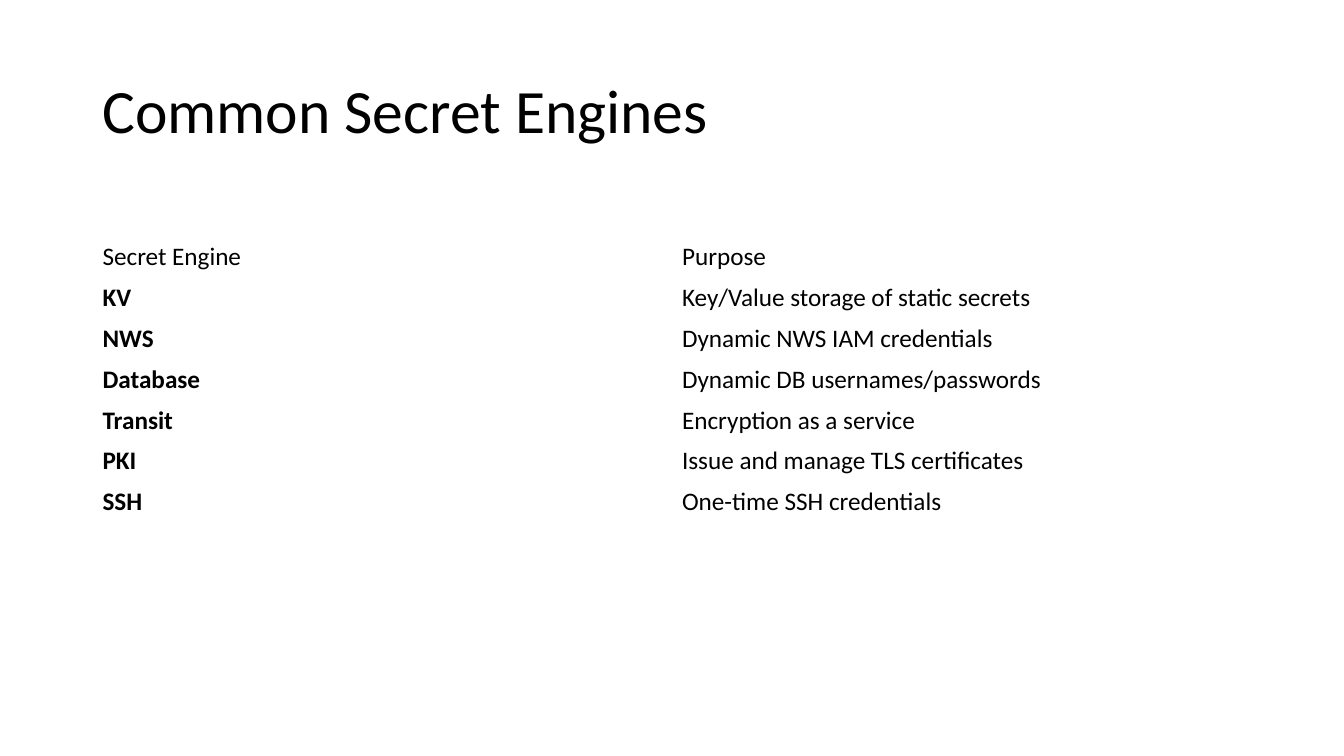
"""Build a slide that lists common secret engines and their purpose."""
from pptx import Presentation
from pptx.dml.color import RGBColor
from pptx.enum.text import MSO_ANCHOR
from pptx.util import Cm, Pt


def color(code):
    return RGBColor.from_string(code)


def write(frame, text, size=18, bold=False, spacing=1.0):
    line = frame.paragraphs[0]
    line.line_spacing = spacing
    run = line.add_run()
    run.text = text
    run.font.name = "Calibri"
    run.font.size = Pt(size)
    run.font.bold = bold
    run.font.color.rgb = color("000000")


deck = Presentation()
deck.slide_width, deck.slide_height = Cm(33.87), Cm(19.05)
slide = deck.slides.add_slide(deck.slide_layouts[6])
slide.background.fill.solid()
slide.background.fill.fore_color.rgb = color("FFFFFF")

left, width = Cm(2.33), Cm(29.21)
title = slide.shapes.add_textbox(left, Cm(1.01), width, Cm(3.68)).text_frame
title.word_wrap = True
title.vertical_anchor = MSO_ANCHOR.MIDDLE
write(title, "Common Secret Engines", size=44, spacing=0.9)

engines = [
    ("Secret Engine", "Purpose"),
    ("KV", "Key/Value storage of static secrets"),
    ("NWS", "Dynamic NWS IAM credentials"),
    ("Database", "Dynamic DB usernames/passwords"),
    ("Transit", "Encryption as a service"),
    ("PKI", "Issue and manage TLS certificates"),
    ("SSH", "One-time SSH credentials"),
]
height = Cm(1.03)
table = slide.shapes.add_table(
    len(engines), 2, left, Cm(5.96), width, height * len(engines)
).table
table.first_row = False
table.horz_banding = False

for row, texts in enumerate(engines):
    table.rows[row].height = height
    for col, text in enumerate(texts):
        cell = table.cell(row, col)
        cell.fill.background()
        cell.vertical_anchor = MSO_ANCHOR.MIDDLE
        write(cell.text_frame, text, bold=row > 0 and col == 0)

deck.save("out.pptx")
